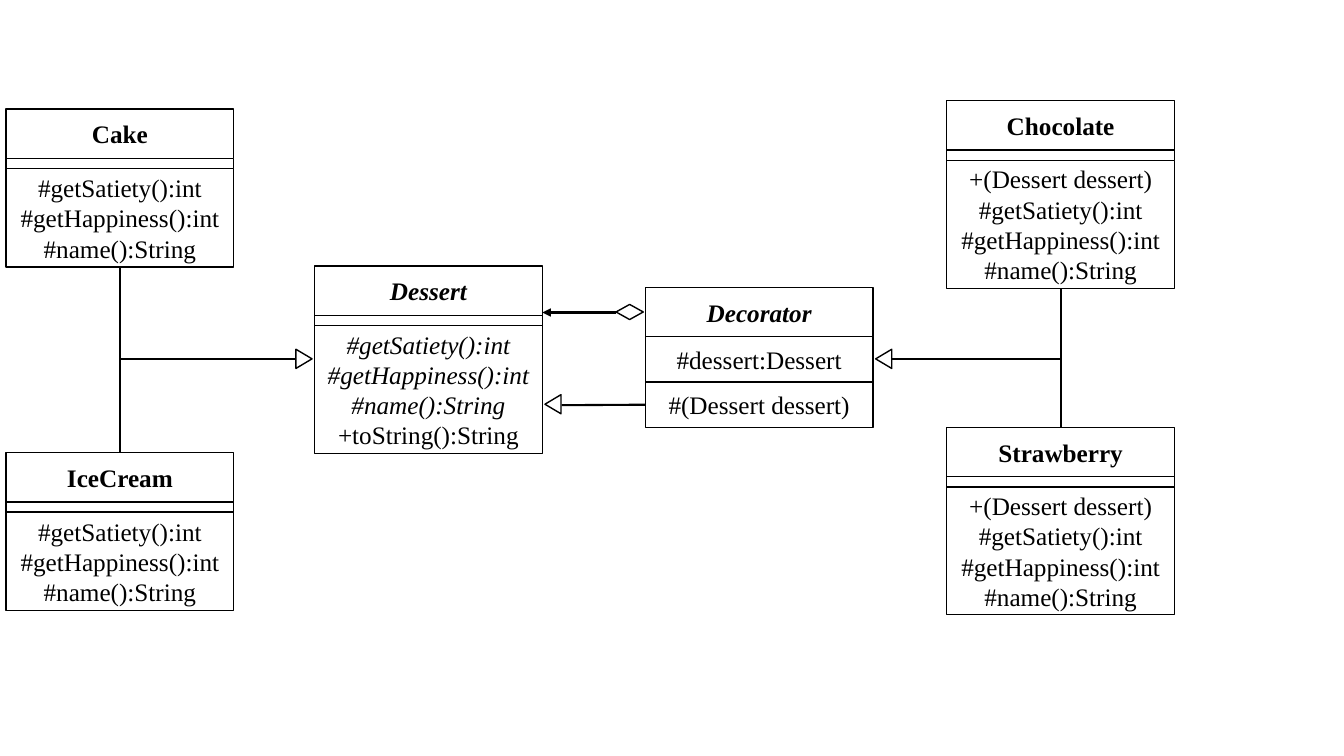
import pptx
import pptx.util
import pptx.dml.color
import pptx.enum.shapes
import pptx.enum.text
import pptx.oxml.ns
from lxml import etree

Inches = pptx.util.Inches
Pt = pptx.util.Pt
Kind = pptx.enum.shapes.MSO_SHAPE

BLACK = pptx.dml.color.RGBColor(0, 0, 0)
WHITE = pptx.dml.color.RGBColor(255, 255, 255)
FONT = "Times New Roman"

GETTERS = ["#getSatiety():int", "#getHappiness():int", "#name():String"]
CONSTRUCTOR = "+(Dessert dessert)"
CLASSES = {
    "Dessert": (3.12, 2.64, [], GETTERS + ["+toString():String"]),
    "Cake": (0.06, 1.08, [], GETTERS),
    "IceCream": (0.06, 4.49, [], GETTERS),
    "Decorator": (6.4, 2.85, ["#dessert:Dessert"], ["#(Dessert dessert)"]),
    "Chocolate": (9.39, 1, [], [CONSTRUCTOR] + GETTERS),
    "Strawberry": (9.39, 4.24, [], [CONSTRUCTOR] + GETTERS),
}
ABSTRACT_NAMES = ["Dessert", "Decorator"]
ABSTRACT_METHODS = {"Dessert": GETTERS}
CLASS_WIDTH = 2.26
NAME_HEIGHT = 0.49
HEIGHT_BY_LINES = {0: 0.1, 1: 0.45, 3: 0.98, 4: 1.27}
SIBLINGS = [("Cake", "IceCream"), ("Chocolate", "Strawberry")]
INHERITANCE_Y = 3.56
MARKERS = [
    (Kind.ISOSCELES_TRIANGLE, 2.92, 3.48, 0.19, 0.16, 90),
    (Kind.ISOSCELES_TRIANGLE, 5.39, 3.93, 0.19, 0.16, 270),
    (Kind.DIAMOND, 6.17, 2.96, 0.15, 0.27, 90),
    (Kind.ISOSCELES_TRIANGLE, 8.67, 3.48, 0.19, 0.16, 270),
]

deck = pptx.Presentation()
deck.slide_width = Inches(13.33)
deck.slide_height = Inches(7.5)
slide = deck.slides.add_slide(deck.slide_layouts[6])


def add_outlined(shapes, kind, left, top, width, height):
    outlined = shapes.add_shape(kind, Inches(left), Inches(top), Inches(width), Inches(height))
    outlined.shadow.inherit = False
    outlined.fill.solid()
    outlined.fill.fore_color.rgb = WHITE
    outlined.line.color.rgb = BLACK
    outlined.line.width = Pt(1)
    return outlined


def write_members(compartment, members, bold, italics):
    frame = compartment.text_frame
    frame.word_wrap = True
    frame.vertical_anchor = pptx.enum.text.MSO_ANCHOR.MIDDLE
    frame.text = "\n".join(members)
    for paragraph in frame.paragraphs:
        paragraph.alignment = pptx.enum.text.PP_ALIGN.CENTER
        for run in paragraph.runs:
            run.font.name = FONT
            run.font.size = Pt(18)
            run.font.bold = bold
            run.font.italic = run.text in italics
            run.font.color.rgb = BLACK


def add_class(name, left, top, fields, methods):
    group = slide.shapes.add_group_shape()
    compartments = []
    italics = ABSTRACT_NAMES + ABSTRACT_METHODS.get(name, [])
    for members in ([name], fields, methods):
        is_name = not compartments
        height = NAME_HEIGHT if is_name else HEIGHT_BY_LINES[len(members)]
        compartment = add_outlined(group.shapes, Kind.RECTANGLE, left, top, CLASS_WIDTH, height)
        if members:
            write_members(compartment, members, is_name, italics)
        compartments.append(compartment)
        top += height
    return compartments


def add_link(x1, y1, x2, y2):
    link = slide.shapes.add_connector(
        pptx.enum.shapes.MSO_CONNECTOR.STRAIGHT, Inches(x1), Inches(y1), Inches(x2), Inches(y2))
    link.line.color.rgb = BLACK
    link.line.width = Pt(1.5)
    etree.SubElement(link._element.spPr, pptx.oxml.ns.qn("a:effectLst"))
    return link


diagram = {name: add_class(name, *parts) for name, parts in CLASSES.items()}

for upper, lower in SIBLINGS:
    trunk = add_link(0, 0, 1, 1)
    trunk.begin_connect(diagram[upper][-1], 2)
    trunk.end_connect(diagram[lower][0], 0)

cake_center = CLASSES["Cake"][0] + CLASS_WIDTH / 2
chocolate_center = CLASSES["Chocolate"][0] + CLASS_WIDTH / 2
add_link(2.93, INHERITANCE_Y, cake_center, INHERITANCE_Y)
add_link(8.85, INHERITANCE_Y, chocolate_center, INHERITANCE_Y)

decorator_parent = add_link(5.57, 4.02, 6.4, 4.02)
decorator_parent.end_connect(diagram["Decorator"][-1], 1)

aggregation = add_link(6.11, 3.1, 5.38, 3.1)
etree.SubElement(aggregation.line._get_or_add_ln(), pptx.oxml.ns.qn("a:tailEnd"), type="triangle")

for kind, left, top, width, height, angle in MARKERS:
    marker = add_outlined(slide.shapes, kind, left, top, width, height)
    marker.rotation = angle

deck.save("out.pptx")
